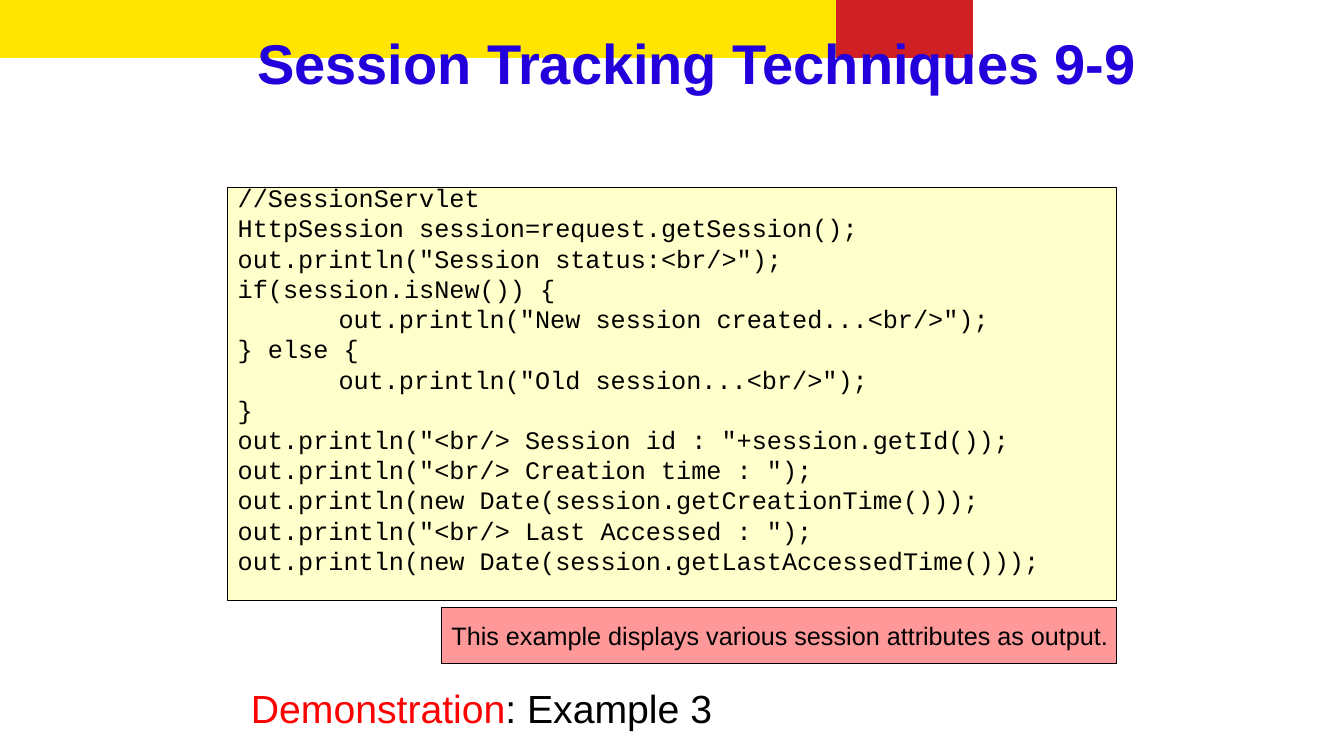
from pptx import Presentation
from pptx.dml.color import RGBColor
from pptx.enum.shapes import MSO_SHAPE
from pptx.enum.text import MSO_ANCHOR, MSO_AUTO_SIZE, PP_ALIGN
from pptx.util import Pt

COLORS = {
    "yellow": "FFE500",
    "crimson": "D12023",
    "title": "2200DC",
    "code": "FFFFCC",
    "callout": "FF9999",
    "accent": "FF0000",
    "black": "000000",
}
INDENT = 72
CODE_PITCH = 21.6
CODE = [
    (0, "//SessionServlet"),
    (0, "HttpSession session=request.getSession();"),
    (0, 'out.println("Session status:<br/>");'),
    (0, "if(session.isNew()) {"),
    (1, 'out.println("New session created...<br/>");'),
    (0, "} else {"),
    (1, 'out.println("Old session...<br/>");'),
    (0, "}"),
    (0, 'out.println("<br/> Session id : "+session.getId());'),
    (0, 'out.println("<br/> Creation time : ");'),
    (0, "out.println(new Date(session.getCreationTime()));"),
    (0, 'out.println("<br/> Last Accessed : ");'),
    (0, "out.println(new Date(session.getLastAccessedTime()));"),
]


def rgb(name):
    """Return the named colour."""
    return RGBColor.from_string(COLORS[name])


def place(part, box):
    """Move a part to a box given in points."""
    part.left, part.top, part.width, part.height = map(Pt, box)


def add_run(paragraph, wording, size, color="black", font="Arial", bold=False):
    """Add one formatted run to a paragraph."""
    run = paragraph.add_run()
    run.text = wording
    run.font.name = font
    run.font.size = Pt(size)
    run.font.bold = bold
    run.font.color.rgb = rgb(color)


def set_frame(frame, anchor, insets):
    """Set wrapping, anchor and left, top, right, bottom insets."""
    frame.word_wrap = True
    frame.auto_size = MSO_AUTO_SIZE.NONE
    frame.vertical_anchor = anchor
    (frame.margin_left, frame.margin_top,
     frame.margin_right, frame.margin_bottom) = map(Pt, insets)


def add_panel(slide, box, fill, line="black", weight=0.75):
    """Add a filled, outlined rectangle."""
    panel = slide.shapes.add_shape(MSO_SHAPE.RECTANGLE, *map(Pt, box))
    panel.shadow.inherit = False
    panel.fill.solid()
    panel.fill.fore_color.rgb = rgb(fill)
    panel.line.color.rgb = rgb(line)
    panel.line.width = Pt(weight)
    return panel


def add_banner(slide, box):
    """Add the two-coloured band behind the title."""
    left, top, width, height = box
    split = 597.6
    for color, start, end in (("yellow", 0, split), ("crimson", split, width)):
        band = add_panel(slide, (left + start, top, end - start, height),
                         color, color, 0.25)
        slide.shapes.title.element.addprevious(band.element)


def add_title(slide, box):
    """Fill the title placeholder."""
    title = slide.shapes.title
    place(title, box)
    set_frame(title.text_frame, MSO_ANCHOR.TOP, (0, 0, 0, 0))
    heading = title.text_frame.paragraphs[0]
    heading.alignment = PP_ALIGN.LEFT
    add_run(heading, "Session Tracking Techniques 9-9", 40, "title", bold=True)


def add_code(slide, box):
    """Add the code listing, one paragraph a line."""
    frame = add_panel(slide, box, "code").text_frame
    set_frame(frame, MSO_ANCHOR.MIDDLE, (7.2, 0, 7.2, CODE_PITCH))
    for number, (level, statement) in enumerate(CODE):
        line = frame.add_paragraph() if number else frame.paragraphs[0]
        line.alignment = PP_ALIGN.LEFT
        line.line_spacing = Pt(CODE_PITCH)
        line._p.get_or_add_pPr().set("marL", str(Pt(level * INDENT)))
        add_run(line, statement, 18, font="Courier New")


def add_callout(slide, box):
    """Add the remark below the code."""
    frame = add_panel(slide, box, "callout").text_frame
    set_frame(frame, MSO_ANCHOR.MIDDLE, (7.2, 3.6, 0, 3.6))
    remark = frame.paragraphs[0]
    remark.alignment = PP_ALIGN.LEFT
    add_run(remark, "This example displays various session attributes as output.", 18)


def add_demonstration(slide, box):
    """Fill the body placeholder with the demonstration line."""
    body = slide.placeholders[1]
    place(body, box)
    set_frame(body.text_frame, MSO_ANCHOR.TOP, (7.2, 3.6, 7.2, 3.6))
    demonstration = body.text_frame.paragraphs[0]
    properties = demonstration._p.get_or_add_pPr()
    properties.set("marL", str(Pt(27)))
    properties.set("indent", str(Pt(-27)))
    properties.insert(0, properties.makeelement(
        "{http://schemas.openxmlformats.org/drawingml/2006/main}buNone", {}))
    demonstration.space_before = Pt(5.6)
    add_run(demonstration, "Demonstration", 28, "accent")
    add_run(demonstration, ": Example 3", 28)


def main():
    """Build and save the slide."""
    deck = Presentation()
    deck.slide_width, deck.slide_height = Pt(960), Pt(540)
    slide = deck.slides.add_slide(deck.slide_layouts[1])
    add_banner(slide, (0, 0, 694.8, 41))
    add_title(slide, (183.6, 20.2, 648, 48.2))
    add_code(slide, (162.7, 133.9, 635, 295.2))
    add_callout(slide, (315.4, 434.2, 482, 39.6))
    add_demonstration(slide, (172, 485.3, 648, 39.6))
    deck.save("out.pptx")


if __name__ == "__main__":
    main()
